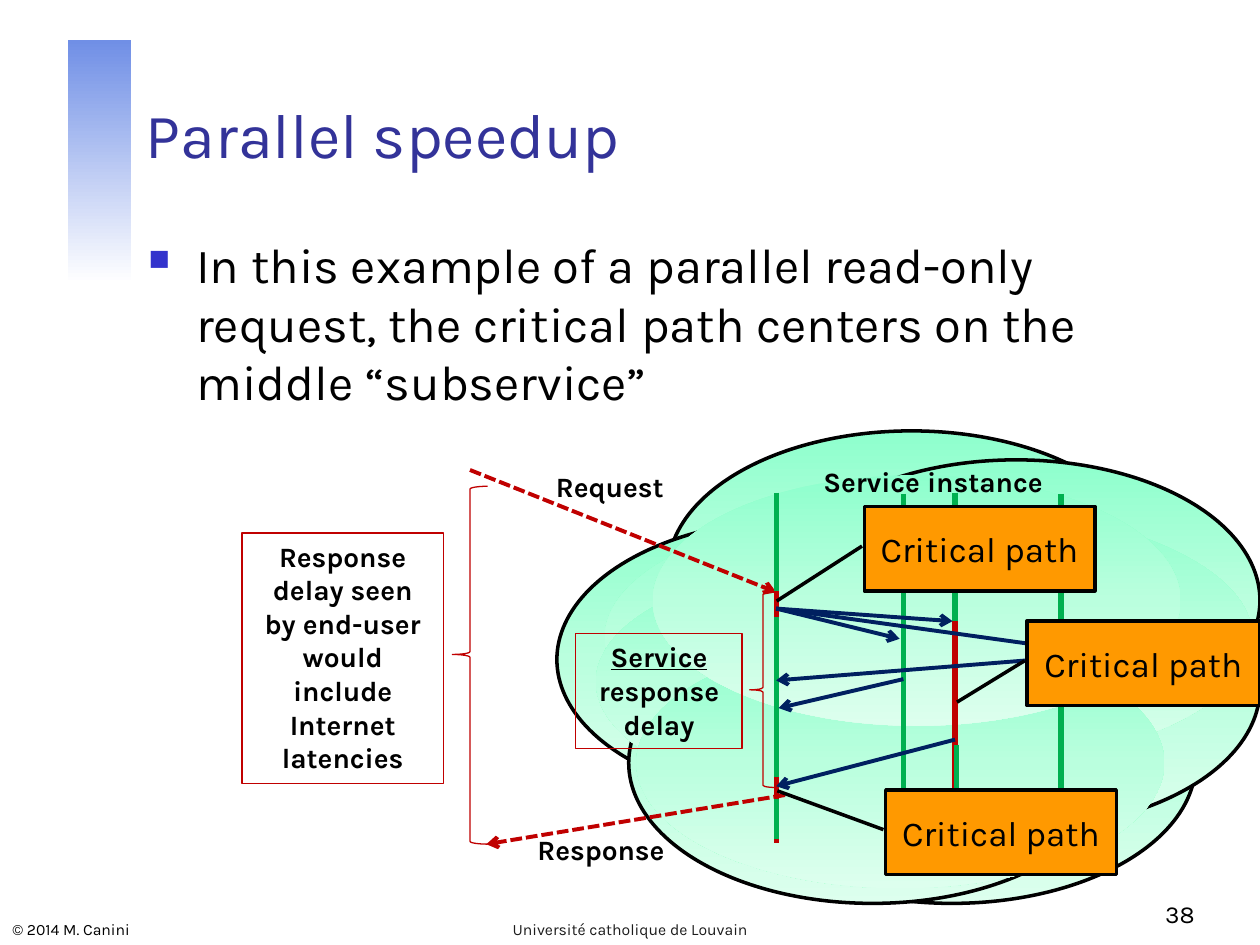
import copy

import lxml.etree as et
import pptx
import pptx.dml.color
import pptx.enum.dml
import pptx.enum.shapes
import pptx.enum.text
import pptx.oxml.ns
import pptx.util

Inches = pptx.util.Inches
Pt = pptx.util.Pt
qn = pptx.oxml.ns.qn
Kind = pptx.enum.shapes.MSO_SHAPE
Align = pptx.enum.text.PP_ALIGN
Anchor = pptx.enum.text.MSO_ANCHOR
BLACK, RED, GREEN, NAVY = "000000", "C00000", "00B050", "002060"
MINT = ["8EFFCD", "BAFFDE", "DDFFEE"]


def tint(hue):
    return pptx.dml.color.RGBColor.from_string(hue)


deck = pptx.Presentation()
deck.slide_width, deck.slide_height = Inches(10), Inches(7.5)
slide = deck.slides.add_slide(deck.slide_layouts[6])
shapes = slide.shapes


# One box for every shape and text; kind None is a plain text box
def box(kind, at, runs=(), size=16, fill=None, line=None, width=0.75,
        align=Align.CENTER, anchor=Anchor.TOP, color=BLACK, bold=False):
    place = [Inches(n) for n in at]
    if kind is None:
        item = shapes.add_textbox(*place)
    else:
        item = shapes.add_shape(kind, *place)
        item.shadow.inherit = False
        if isinstance(fill, list):
            item.fill.gradient()
            item.fill.gradient_angle = 270
            stops = item.fill.gradient_stops
            if len(fill) == 3:
                first = item._element.spPr.find(".//" + qn("a:gs"))
                first.addnext(copy.deepcopy(first))
                stops = item.fill.gradient_stops
            for i, hue in enumerate(fill):
                stops[i].color.rgb = tint(hue)
                stops[i].position = i / (len(fill) - 1)
        elif fill:
            item.fill.solid()
            item.fill.fore_color.rgb = tint(fill)
        else:
            item.fill.background()
        if line:
            item.line.color.rgb = tint(line)
            item.line.width = Pt(width)
        else:
            item.line.fill.background()
    if runs:
        frame = item.text_frame
        frame.word_wrap = True
        frame.vertical_anchor = anchor
        para = frame.paragraphs[0]
        para.alignment = align
        for text in runs:
            run = para.add_run()
            run.text = text
            run.font.name = "Karla"
            run.font.size = Pt(size)
            run.font.bold = bold
            run.font.color.rgb = tint(color)
    return item


def link(x1, y1, x2, y2, color, width=2.25, arrow=True, dash=False):
    line = shapes.add_connector(pptx.enum.shapes.MSO_CONNECTOR.STRAIGHT,
                                Inches(x1), Inches(y1), Inches(x2), Inches(y2))
    line.line.color.rgb = tint(color)
    line.line.width = Pt(width)
    if dash:
        line.line.dash_style = pptx.enum.dml.MSO_LINE.SQUARE_DOT
    if arrow:
        et.SubElement(line.line._get_or_add_ln(), qn("a:tailEnd"), type="arrow")
    et.SubElement(line._element.spPr, qn("a:effectLst"))


# Side band and left footer
box(Kind.RECTANGLE, (0.54, 0.32, 0.5, 1.93), fill=["708FE6", "FFFFFF"])
box(None, (0, 7.22, 3.02, 0.28), ["© 2014 M. Canini"], 9,
    align=Align.LEFT, anchor=Anchor.BOTTOM)

# Cloud: outlined puffs, then plain ones that cover the inner outlines
for x, y in [(5.3, 3.42), (6.13, 3.65), (5.62, 4.94),
             (4.42, 4.12), (4.99, 4.94), (6.13, 4.35)]:
    box(Kind.OVAL, (x, y, 3.87, 2.23), fill=MINT, line=BLACK, width=2)
for at in [(4.8, 4, 5.14, 2.11), (4.73, 4.47, 4.06, 1.88),
           (5.05, 5.06, 4.19, 1.99), (5.18, 3.77, 4.19, 1.99)]:
    box(Kind.OVAL, at, fill=MINT)

# Title, footer and page number
box(None, (1.06, 0.33, 8.52, 1.08), ["Parallel speedup"], 36,
    align=Align.LEFT, anchor=Anchor.BOTTOM, color="333399")
box(None, (3.42, 7.22, 3.16, 0.28), ["Université catholique de Louvain"], 9,
    anchor=Anchor.BOTTOM, color="1C1C1C")
box(None, (7.5, 6.92, 2.08, 0.5), ["38"], 14,
    align=Align.RIGHT, anchor=Anchor.BOTTOM)

# Bullet
body = box(None, (1.08, 1.81, 8.5, 4.96),
           ["In this example of a parallel read-only request, the critical "
            "path centers on the middle “subservice”"], 28, align=Align.LEFT)
props = body.text_frame.paragraphs[0]._p.get_or_add_pPr()
props.set("marL", str(Inches(0.38)))
props.set("indent", str(Inches(-0.38)))
et.SubElement(et.SubElement(props, qn("a:buClr")), qn("a:srgbClr"), val="3333CC")
et.SubElement(props, qn("a:buSzPct"), val="60000")
et.SubElement(props, qn("a:buChar"), char="■")

# Request and response
link(3.73, 3.73, 6.16, 4.7, RED, dash=True)
link(6.23, 6.31, 3.86, 6.7, RED, dash=True)
for text, at in [("Request", (3.96, 3.68, 1.76, 0.37)),
                 ("Response", (3.83, 6.56, 1.88, 0.37)),
                 ("Service instance", (6.12, 3.64, 2.57, 0.37))]:
    box(None, at, [text], bold=True)

# Delays with their braces
brace = box(Kind.LEFT_BRACE, (3.59, 3.86, 0.28, 2.84), line=RED)
brace.adjustments[0], brace.adjustments[1] = 0.08, 0.47
box(Kind.LEFT_BRACE, (5.95, 4.7, 0.21, 1.55), line=RED)
box(Kind.RECTANGLE, (1.92, 4.23, 1.6, 1.99),
    ["Response delay seen by end-user would include Internet latencies"],
    line=RED, bold=True)
delay = box(Kind.RECTANGLE, (4.57, 5.03, 1.32, 0.91),
            ["Service ", "response delay"], line=RED, bold=True)
delay.text_frame.paragraphs[0].runs[0].font.underline = True

# Time lines: red where the critical path runs, green elsewhere
for x, hue in [(6.16, RED), (7.17, GREEN), (7.58, RED), (8.42, GREEN)]:
    link(x, 3.92, x, 6.69, hue, 3, arrow=False)
for x, top, end in [(6.16, 3.91, 4.69), (6.16, 4.9, 6.17), (6.16, 6.34, 6.66),
                    (7.58, 3.91, 4.93), (7.59, 5.91, 6.69)]:
    link(x, top, x, end, GREEN, 3, arrow=False)

# Calls to the subservices and their replies
for x, y in [(7.14, 5.07), (7.56, 4.93), (8.39, 5.14)]:
    link(6.16, 4.83, x, y, NAVY)
for ends in [(8.42, 5.22, 6.16, 5.4), (7.17, 5.39, 6.18, 5.62),
             (7.58, 5.87, 6.16, 6.24)]:
    link(*ends, NAVY)

# Callouts; the last two numbers are the tip, down and across
for x, y, wide, down, across in [(6.86, 4.02, 1.83, 1.12, -0.38),
                                 (8.15, 4.93, 1.85, 0.96, -0.3),
                                 (7.03, 6.27, 1.83, 0.01, -0.47)]:
    note = box(Kind.LINE_CALLOUT_1, (x, y, wide, 0.67), ["Critical path"], 20,
               fill="FF9900", line=BLACK, width=2, anchor=Anchor.MIDDLE)
    for i, part in enumerate([0.47, -0.01, down, across]):
        note.adjustments[i] = part

deck.save("out.pptx")
